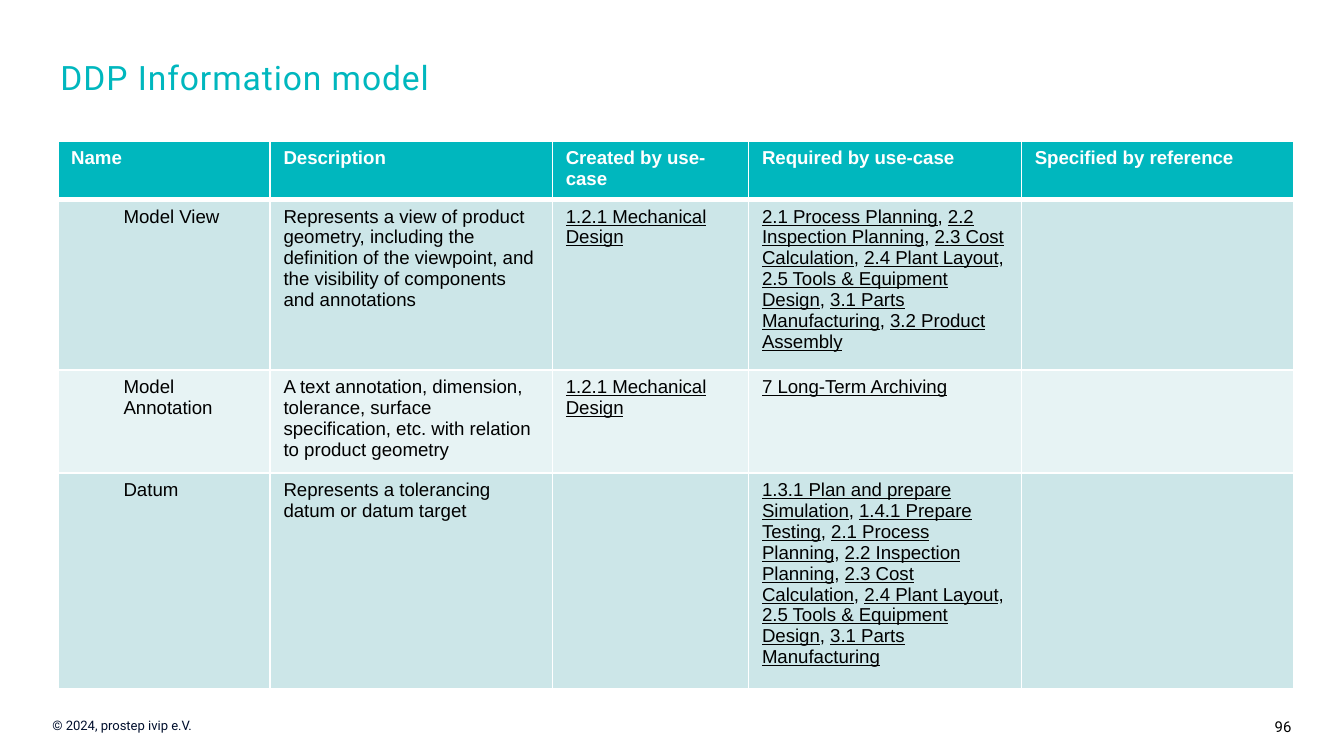
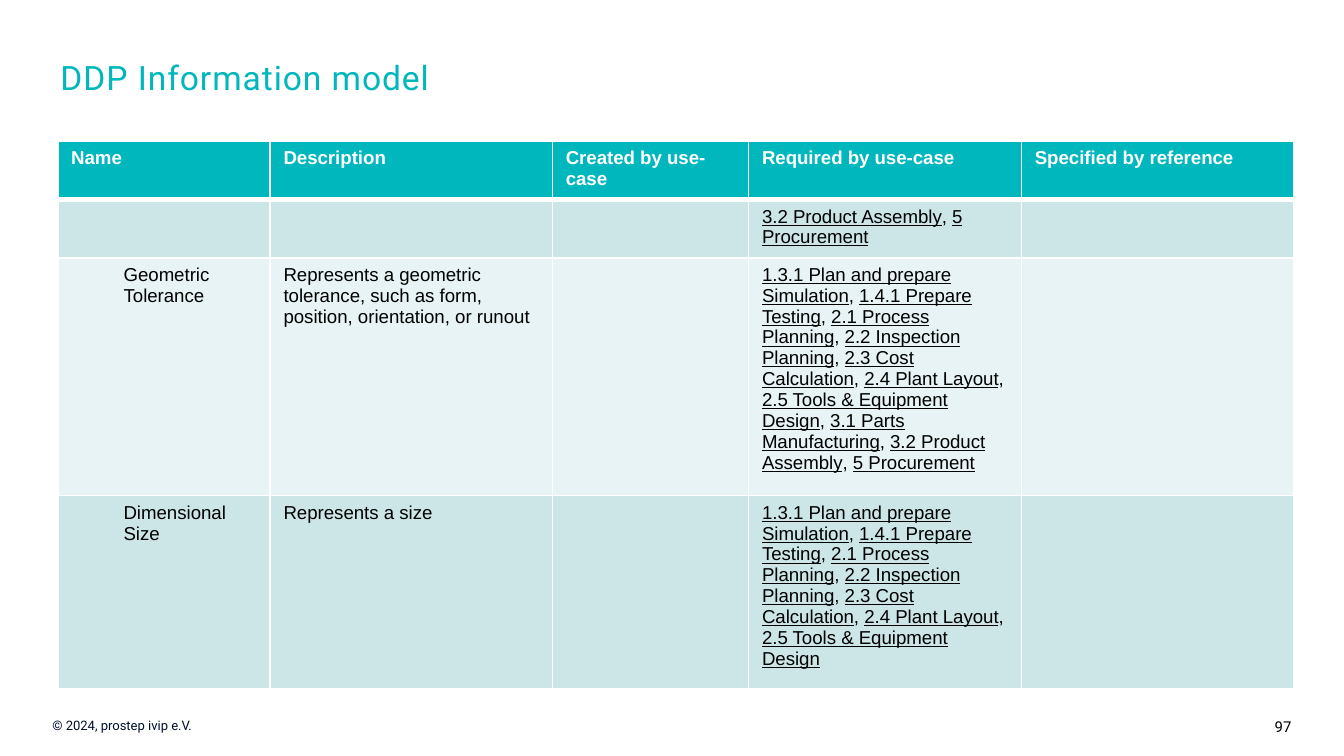
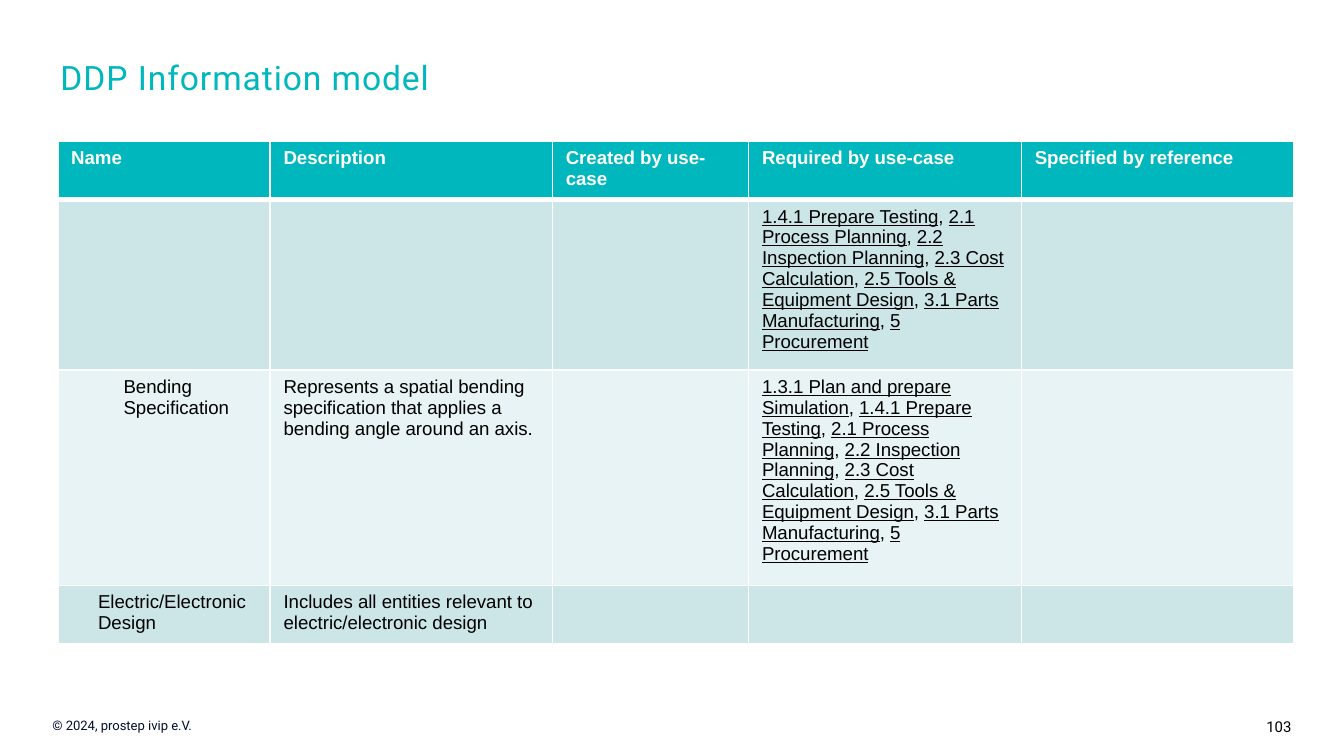
from lxml import etree
from pptx import Presentation
from pptx import util as u
from pptx.dml import color
from pptx.enum import text
from pptx.oxml import ns

TEAL, WHITE, BLACK, NAVY = "00B7BE", "FFFFFF", "000000", "000F2D"
BANDS = ["CCE6E8", "E7F3F4"]
HEADINGS = ["Name", "Description", "Created by use-case",
            "Required by use-case", "Specified by reference"]
COLUMN_WIDTHS = [1.58, 2.1, 1.46, 2.03, 2.03]
HEADER_HEIGHT = 0.16
TITLE_BOX = (0.35, 0.37, 7.49, 0.68)
TABLE_BOX = (0.43, 1.05, 9.21, 1.03)
COPYRIGHT_BOX = (0, 5.29, 2.4, 0.22)
NUMBER_BOX = (9.09, 5.29, 0.91, 0.24)
GROUP_INDENT, ENTITY_INDENT = 0.3, 0.49
USE_CASES = {
    "1.2.1": "Mechanical Design",
    "1.3.1": "Plan and prepare Simulation",
    "1.4.1": "Prepare Testing",
    "2.1": "Process Planning",
    "2.2": "Inspection Planning",
    "2.3": "Cost Calculation",
    "2.4": "Plant Layout",
    "2.5": "Tools & Equipment Design",
    "3.1": "Parts Manufacturing",
    "3.2": "Product Assembly",
    "5": "Procurement",
    "7": "Long-Term Archiving",
}
PAGES = {
    96: [
        (1.17, ENTITY_INDENT, "Model View",
         "Represents a view of product geometry, including the definition of the "
         "viewpoint, and the visibility of components and annotations",
         "1.2.1", "2.1 2.2 2.3 2.4 2.5 3.1 3.2"),
        (0.67, ENTITY_INDENT, "Model Annotation",
         "A text annotation, dimension, tolerance, surface specification, etc. "
         "with relation to product geometry", "1.2.1", "7"),
        (1.5, ENTITY_INDENT, "Datum",
         "Represents a tolerancing datum or datum target",
         "", "1.3.1 1.4.1 2.1 2.2 2.3 2.4 2.5 3.1"),
    ],
    97: [
        (0.16, ENTITY_INDENT, "", "", "", "3.2 5"),
        (1.67, ENTITY_INDENT, "Geometric Tolerance",
         "Represents a geometric tolerance, such as form, position, orientation, "
         "or runout", "", "1.3.1 1.4.1 2.1 2.2 2.3 2.4 2.5 3.1 3.2 5"),
        (1.33, ENTITY_INDENT, "Dimensional Size", "Represents a size",
         "", "1.3.1 1.4.1 2.1 2.2 2.3 2.4 2.5"),
    ],
    103: [
        (0.16, ENTITY_INDENT, "", "", "", "1.4.1 2.1 2.2 2.3 2.5 3.1 5"),
        (1.5, ENTITY_INDENT, "Bending Specification",
         "Represents a spatial bending specification that applies a bending "
         "angle around an axis.", "", "1.3.1 1.4.1 2.1 2.2 2.3 2.5 3.1 5"),
        (0.33, GROUP_INDENT, "Electric/Electronic Design",
         "Includes all entities relevant to electric/electronic design", "", ""),
    ],
}


def rgb(value):
    """Turn a hex string into a colour."""
    return color.RGBColor.from_string(value)


def inches(box):
    """Turn a box in inches into lengths."""
    return [u.Inches(side) for side in box]


def style(para, size, name, ink, bold=False):
    """Set the font of a paragraph."""
    font = para.font
    font.size, font.name, font.bold = u.Pt(size), name, bold
    font.color.rgb = rgb(ink)


def add_title(page, box, words):
    """Place and format the title placeholder."""
    title = page.shapes.title
    title.left, title.top, title.width, title.height = inches(box)
    frame = title.text_frame
    frame.text = words
    frame.word_wrap = True
    frame.auto_size = text.MSO_AUTO_SIZE.NONE
    frame.vertical_anchor = text.MSO_ANCHOR.TOP
    para = frame.paragraphs[0]
    para.alignment = text.PP_ALIGN.LEFT
    style(para, 18, "Roboto", TEAL)
    para.runs[0].font._element.set("spc", "50")


def add_footer_text(page, box, words, size, ink, margins, align):
    """Add one footer text with its left and right margins."""
    frame = page.shapes.add_textbox(*inches(box)).text_frame
    frame.word_wrap = True
    frame.margin_left, frame.margin_right = inches(margins)
    para = frame.paragraphs[0]
    para.text = words
    para.alignment = align
    style(para, size, "Roboto", ink)


def add_footer(page, number):
    """Add the page number and the copyright line."""
    add_footer_text(page, NUMBER_BOX, str(number), 8, BLACK,
                    (0.1, 0.39), text.PP_ALIGN.RIGHT)
    add_footer_text(page, COPYRIGHT_BOX, "© 2024, prostep ivip e.V.", 7, NAVY,
                    (0.39, 0.1), text.PP_ALIGN.LEFT)


def format_cell(cell, fill, ink, bold=False, top=1, bottom=1):
    """Give a cell its borders, fill and font."""
    properties = cell._tc.get_or_add_tcPr()
    for side, width in zip("LRTB", (1, 1, top, bottom)):
        line = etree.SubElement(properties, ns.qn(f"a:ln{side}"), w=str(u.Pt(width)))
        solid = etree.SubElement(line, ns.qn("a:solidFill"))
        etree.SubElement(solid, ns.qn("a:srgbClr"), val=WHITE)
    cell.fill.solid()
    cell.fill.fore_color.rgb = rgb(fill)
    style(cell.text_frame.paragraphs[0], 10, "Arial", ink, bold)


def write_use_cases(cell, codes):
    """List use cases, underlined and separated by commas."""
    para = cell.text_frame.paragraphs[0]
    for index, code in enumerate(codes.split()):
        if index:
            para.add_run().text = ", "
        span = para.add_run()
        span.text = f"{code} {USE_CASES[code]}"
        span.font.underline = True


def add_model_table(page, box, entries):
    """Add the table of model entities under its header row."""
    holder = page.shapes.add_table(len(entries) + 1, len(HEADINGS), *inches(box))
    table = holder.table
    for column, width in zip(table.columns, COLUMN_WIDTHS):
        column.width = u.Inches(width)
    table.rows[0].height = u.Inches(HEADER_HEIGHT)
    for cell, heading in zip(table.rows[0].cells, HEADINGS):
        cell.text = heading
        format_cell(cell, TEAL, WHITE, bold=True, bottom=3)
    for index, entry in enumerate(entries):
        height, indent, name, description, created, required = entry
        row = table.rows[index + 1]
        row.height = u.Inches(height)
        cells = list(row.cells)
        cells[0].text, cells[1].text = name, description
        if name:
            cells[0].margin_left = u.Inches(indent)
        write_use_cases(cells[2], created)
        write_use_cases(cells[3], required)
        for cell in cells:
            format_cell(cell, BANDS[index % 2], BLACK, top=1 if index else 3)
    holder.width, holder.height = inches(box[2:])


def main():
    """Build the deck and save it."""
    deck = Presentation()
    deck.slide_width = u.Inches(10)
    deck.slide_height = deck.slide_width * 9 // 16
    for number, entries in PAGES.items():
        page = deck.slides.add_slide(deck.slide_layouts[5])
        add_footer(page, number)
        add_title(page, TITLE_BOX, "DDP Information model")
        add_model_table(page, TABLE_BOX, entries)
    deck.save("out.pptx")


if __name__ == "__main__":
    main()
